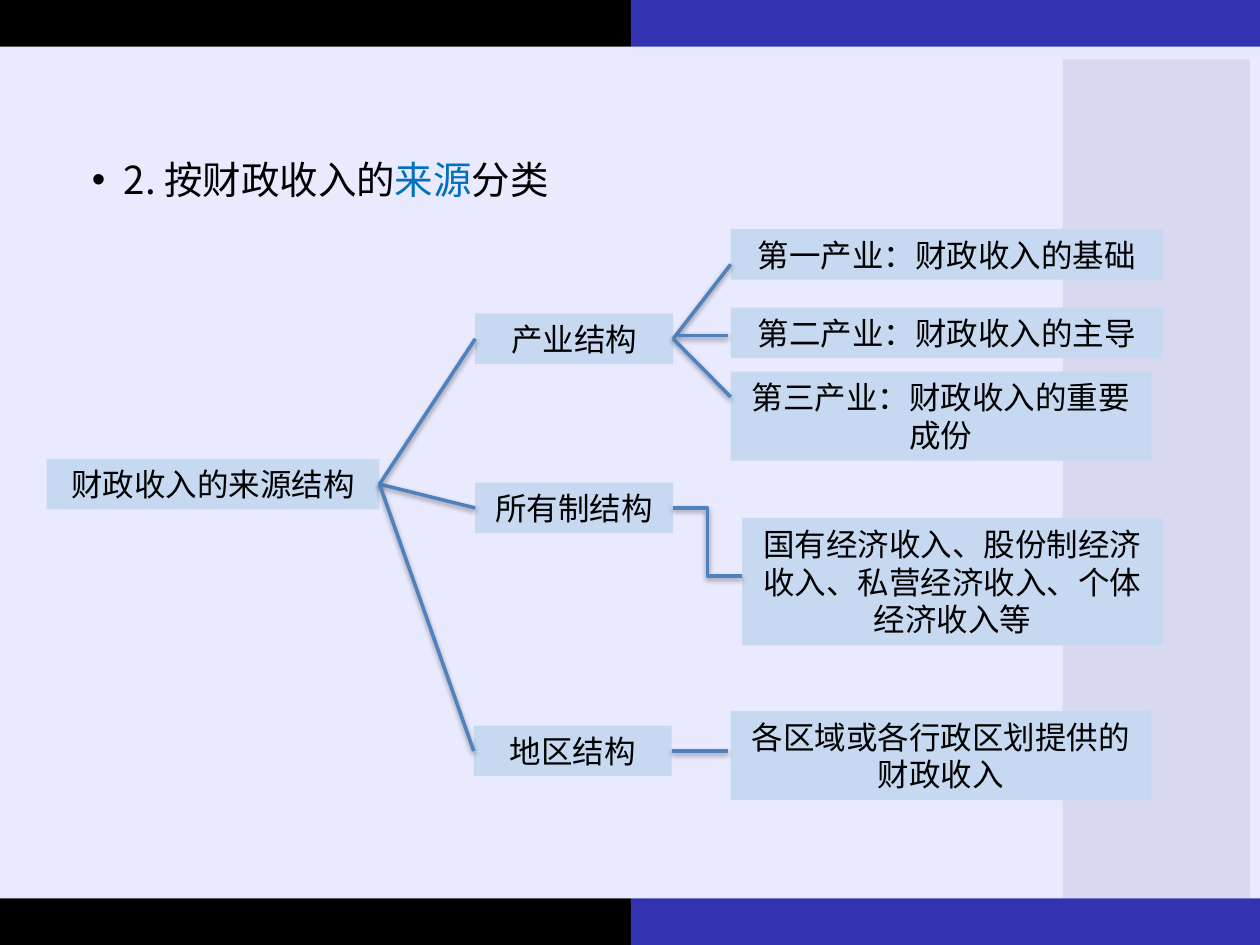
from lxml.etree import SubElement
from pptx import Presentation
from pptx.dml.color import RGBColor
from pptx.enum.shapes import MSO_CONNECTOR as Link, MSO_SHAPE as Shape
from pptx.enum.text import MSO_ANCHOR as Anchor, MSO_AUTO_SIZE as AutoSize, PP_ALIGN as Align
from pptx.oxml import parse_xml
from pptx.oxml.ns import nsdecls, qn
from pptx.util import Cm, Pt

FONT = "Noto Sans CJK SC"
COLORS = {
    "canvas": "EAEAFF", "black": "000000", "navy": "3333B2", "panel": "D8D8F0",
    "box": "C6D9F1", "line": "4F81BD", "accent": "0070C0",
}
SHADOW = (
    f'<a:effectLst {nsdecls("a")}><a:outerShdw blurRad="39400" dist="20300" dir="5400000" '
    'rotWithShape="0"><a:srgbClr val="000000"><a:alpha val="38000"/></a:srgbClr>'
    "</a:outerShdw></a:effectLst>"
)


def add_block(shapes, left, top, width, height, color):
    block = shapes.add_shape(Shape.RECTANGLE, Cm(left), Cm(top), Cm(width), Cm(height))
    block.shadow.inherit = False
    block.fill.solid()
    block.fill.fore_color.rgb = RGBColor.from_string(COLORS[color])
    block.line.fill.background()
    return block


def style_run(run, size, color):
    run.font.size = Pt(size)
    run.font.name = FONT
    run.font.color.rgb = RGBColor.from_string(COLORS[color])
    SubElement(run.font._element, qn("a:ea")).set("typeface", FONT)


prs = Presentation()
prs.slide_width, prs.slide_height = Cm(25.4), Cm(19.05)
slide = prs.slides.add_slide(prs.slide_layouts[1])
title = slide.shapes.title._element
title.getparent().remove(title)

# Background: canvas, side panel, two-tone bars at top and bottom
backdrop = slide.shapes.add_group_shape()
add_block(backdrop.shapes, 0, 0.94, 25.4, 17.17, "canvas")
add_block(backdrop.shapes, 21.42, 1.2, 3.78, 16.91, "panel")
for bar_top in (0, 18.11):
    add_block(backdrop.shapes, 0, bar_top, 12.72, 0.94, "black")
    add_block(backdrop.shapes, 12.72, bar_top, 12.68, 0.94, "navy")
slide.shapes._spTree.insert(2, backdrop._element)

# Heading bullet
heading = slide.placeholders[1]
heading.left, heading.top, heading.width, heading.height = Cm(1.6), Cm(3.12), Cm(23.8), Cm(13.3)
heading.text_frame.auto_size = AutoSize.NONE
heading.text_frame.vertical_anchor = Anchor.TOP
topic = heading.text_frame.paragraphs[0]
topic.line_spacing = 0.9
topic.space_before = Pt(0)
indent = topic._p.get_or_add_pPr()
indent.set("marL", str(Cm(0.64)))
indent.set("indent", str(-Cm(0.64)))
for words, color in (("2. 按财政收入的", "black"), ("来源", "accent"), ("分类", "black")):
    part = topic.add_run()
    part.text = words
    style_run(part, 22, color)

# Tree boxes: text, left, top, width, height
NODES = {
    "root": ("财政收入的来源结构", 0.94, 9.25, 6.71, 1.02),
    "industry": ("产业结构", 9.58, 6.32, 3.99, 1.02),
    "ownership": ("所有制结构", 9.58, 9.73, 3.99, 1.02),
    "region": ("地区结构", 9.55, 14.63, 3.99, 1.02),
    "primary": ("第一产业：财政收入的基础", 14.73, 4.62, 8.71, 1.02),
    "secondary": ("第二产业：财政收入的主导", 14.73, 6.2, 8.71, 1.02),
    "tertiary": ("第三产业：财政收入的重要成份", 14.73, 7.49, 8.48, 1.8),
    "owners": ("国有经济收入、股份制经济收入、私营经济收入、个体经济收入等",
               14.96, 10.44, 8.48, 2.57),
    "areas": ("各区域或各行政区划提供的财政收入", 14.73, 14.33, 8.48, 1.8),
}
boxes = {}
for node, (label, *place) in NODES.items():
    boxes[node] = add_block(slide.shapes, *place, "box")
    frame = boxes[node].text_frame
    frame.text = label
    frame.word_wrap = True
    frame.vertical_anchor = Anchor.MIDDLE
    frame.paragraphs[0].alignment = Align.CENTER
    style_run(frame.paragraphs[0].runs[0], 18, "black")

# Branches: kind, start, end, box joined at its right side, box joined at its left side
BRANCHES = [
    (Link.STRAIGHT, (7.65, 9.76), (9.58, 6.83), "root", "industry"),
    (Link.STRAIGHT, (7.65, 9.76), (9.58, 10.24), "root", "ownership"),
    (Link.STRAIGHT, (7.65, 9.76), (9.55, 15.14), "root", "region"),
    (Link.STRAIGHT, (13.57, 6.83), (14.73, 5.33), "industry", None),
    (Link.STRAIGHT, (13.67, 6.76), (14.68, 6.76), None, None),
    (Link.STRAIGHT, (13.57, 6.83), (14.73, 8), "industry", None),
    (Link.ELBOW, (13.57, 10.24), (14.96, 11.61), None, None),
    (Link.STRAIGHT, (13.54, 15.14), (14.68, 15.14), "region", None),
]
for kind, start, end, parent, child in BRANCHES:
    branch = slide.shapes.add_connector(kind, *map(Cm, start + end))
    if parent:
        branch.begin_connect(boxes[parent], 3)
    if child:
        branch.end_connect(boxes[child], 1)
    branch.line.color.rgb = RGBColor.from_string(COLORS["line"])
    branch.line.width = Pt(2)
    branch._element.spPr.append(parse_xml(SHADOW))

prs.save("out.pptx")
